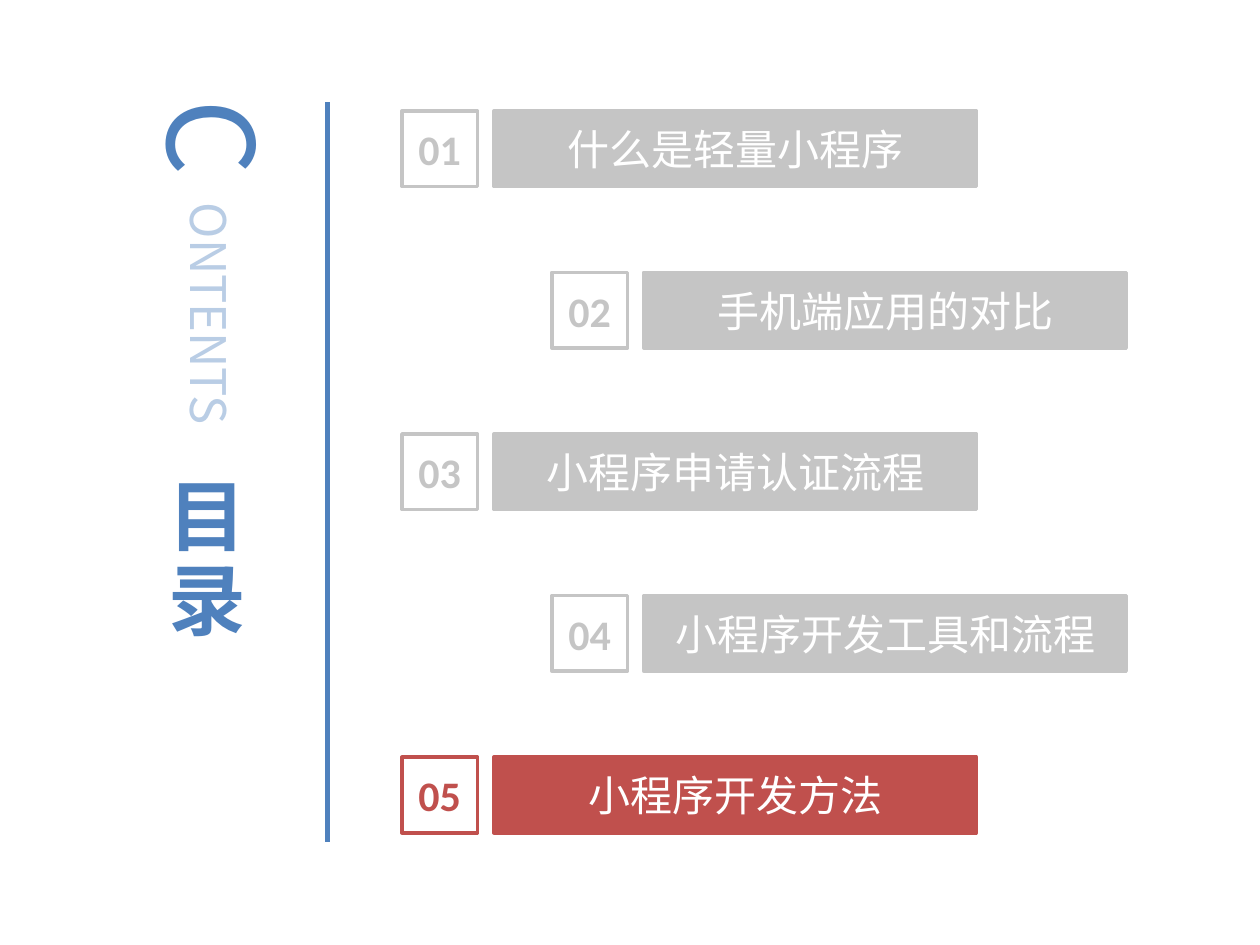
from dataclasses import dataclass

from lxml.etree import SubElement
from pptx import Presentation
from pptx.dml.color import RGBColor
from pptx.enum.shapes import MSO_CONNECTOR, MSO_SHAPE
from pptx.enum.text import MSO_ANCHOR, MSO_AUTO_SIZE, PP_ALIGN
from pptx.oxml.ns import qn
from pptx.util import Inches, Pt


@dataclass(frozen=True)
class Theme:
    accent: str = "4F81BD"
    pale: str = "B9CDE5"
    muted: str = "C5C5C5"
    active: str = "C0504D"
    white: str = "FFFFFF"
    number_font: str = "Calibri"
    text_font: str = "Noto Sans CJK SC"
    entry_size: float = 24
    initial_size: float = 68.2
    rest_size: float = 28
    title_size: float = 44.4
    border: float = 2
    divider: float = 3.25


@dataclass(frozen=True)
class Grid:
    left: float = 3.19
    top: float = 0.88
    indent: float = 1.19  # shift of every second row
    pitch: float = (6.01 - 0.88) / 4
    number_side: float = 0.6
    label_offset: float = 0.73
    label_width: float = 3.83


@dataclass(frozen=True)
class Entry:
    label: str
    active: bool = False


THEME = Theme()
GRID = Grid()
ENTRIES = [
    Entry("什么是轻量小程序"),
    Entry("手机端应用的对比"),
    Entry("小程序申请认证流程"),
    Entry("小程序开发工具和流程"),
    Entry("小程序开发方法", active=True),
]


def add_run(paragraph, text: str, size: float, color: str,
            face: str = THEME.text_font, bold: bool = False) -> None:
    run = paragraph.add_run()
    run.text = text
    run.font.size = Pt(size)
    run.font.bold = bold
    run.font.color.rgb = RGBColor.from_string(color)
    run.font.name = face
    SubElement(run.font._element, qn("a:ea"), typeface=face)


def set_frame(frame, anchor, margin_x: float, margin_y: float) -> None:
    frame.auto_size = MSO_AUTO_SIZE.NONE
    frame.word_wrap = True
    frame.vertical_anchor = anchor
    frame.margin_left = frame.margin_right = Inches(margin_x)
    frame.margin_top = frame.margin_bottom = Inches(margin_y)


def add_box(slide, left: float, top: float, width: float, color: str, filled: bool):
    box = slide.shapes.add_shape(MSO_SHAPE.RECTANGLE, Inches(left), Inches(top),
                                 Inches(width), Inches(GRID.number_side))
    box.shadow.inherit = False
    if filled:
        box.fill.solid()
        box.fill.fore_color.rgb = RGBColor.from_string(color)
    else:
        box.fill.background()
    box.line.color.rgb = RGBColor.from_string(color)
    box.line.width = Pt(THEME.border)
    return box


def add_entry(slide, row: int, entry: Entry) -> None:
    color = THEME.active if entry.active else THEME.muted
    left = GRID.left + row % 2 * GRID.indent
    top = GRID.top + row * GRID.pitch

    number = add_box(slide, left, top, GRID.number_side, color, filled=False)
    label = add_box(slide, left + GRID.label_offset, top, GRID.label_width,
                    color, filled=True)
    set_frame(number.text_frame, MSO_ANCHOR.MIDDLE, 0, 0)
    set_frame(label.text_frame, MSO_ANCHOR.MIDDLE, 0.1, 0.05)
    for box in (number, label):
        box.text_frame.paragraphs[0].alignment = PP_ALIGN.CENTER
    add_run(number.text_frame.paragraphs[0], f"{row + 1:02}", THEME.entry_size,
            color, THEME.number_font, bold=True)
    add_run(label.text_frame.paragraphs[0], entry.label, THEME.entry_size, THEME.white)


def add_vertical_text(slide, text: str, area: tuple[float, float, float, float],
                      size: float, color: str, anchor, spacing: float) -> None:
    box = slide.shapes.add_textbox(*map(Inches, area))
    set_frame(box.text_frame, anchor, 0.05, 0.1)
    box.text_frame._txBody.bodyPr.set("vert", "eaVert")
    paragraph = box.text_frame.paragraphs[0]
    paragraph.line_spacing = spacing
    add_run(paragraph, text, size, color)


def add_divider(slide, x: float, top: float, bottom: float) -> None:
    divider = slide.shapes.add_connector(MSO_CONNECTOR.STRAIGHT, Inches(x), Inches(top),
                                         Inches(x), Inches(bottom))
    divider.line.color.rgb = RGBColor.from_string(THEME.accent)
    divider.line.width = Pt(THEME.divider)
    SubElement(divider._element.spPr, qn("a:effectLst"))


def format_title(title, text: str) -> None:
    title.left, title.top, title.width, title.height = map(
        Inches, (1.24, 3.64, 0.76, 1.64))
    frame = title.text_frame
    set_frame(frame, MSO_ANCHOR.MIDDLE, 0.1, 0.05)
    for index, character in enumerate(text):
        paragraph = frame.add_paragraph() if index else frame.paragraphs[0]
        paragraph.alignment = PP_ALIGN.CENTER
        paragraph.line_spacing = 0.9
        add_run(paragraph, character, THEME.title_size, THEME.accent, bold=True)


def main() -> None:
    deck = Presentation()
    deck.slide_width, deck.slide_height = Inches(10), Inches(7.5)
    slide = deck.slides.add_slide(deck.slide_layouts[5])

    # Heading column
    format_title(slide.shapes.title, "目录")
    add_vertical_text(slide, "C", (1.03, 0.69, 1.15, 1.3), THEME.initial_size,
                      THEME.accent, MSO_ANCHOR.MIDDLE, 0.8)
    add_vertical_text(slide, "ONTENTS", (1.28, 1.51, 0.67, 2.26), THEME.rest_size,
                      THEME.pale, MSO_ANCHOR.TOP, 1.0)
    add_divider(slide, 2.6, 0.81, 6.68)

    # Staggered contents
    for row, entry in enumerate(ENTRIES):
        add_entry(slide, row, entry)

    deck.save("out.pptx")


if __name__ == "__main__":
    main()
